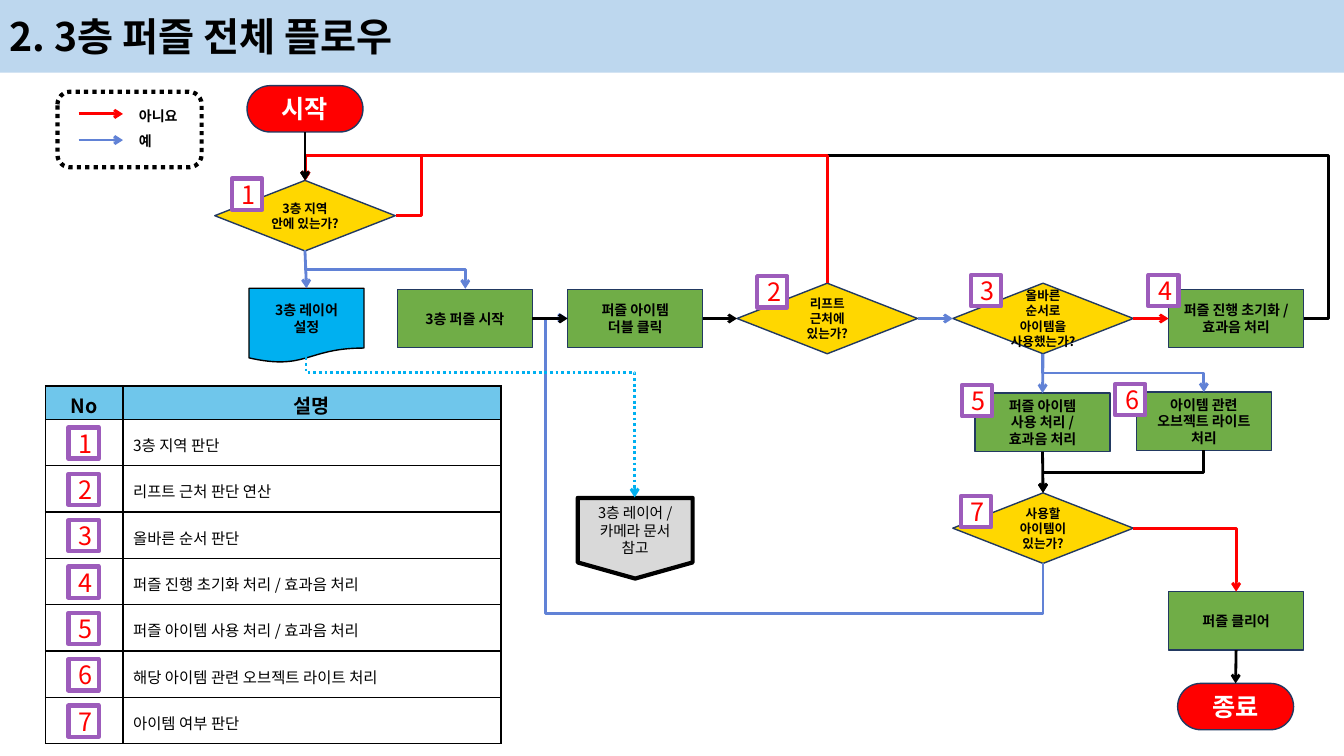
"""Build the flow chart slide for the third-floor puzzle."""
from pptx import Presentation
from pptx import util as u
from pptx.dml.color import RGBColor
from pptx.enum import dml, shapes, text
from pptx.oxml import parse_xml
from pptx.oxml.ns import nsdecls, qn

FONT = "Noto Sans CJK KR"
BLACK, WHITE, RED, BLUE, CYAN = "000000", "FFFFFF", "FF0000", "6182D6", "00B0F0"
GREEN, YELLOW, NAVY, PURPLE = "70AD47", "FFD700", "223961", "9D5CBB"
KIND = shapes.MSO_SHAPE
TOP, LEFT, BOTTOM, RIGHT = range(4)
color_of = RGBColor.from_string


def write_text(frame, content, size, color=BLACK, bold=True, align=text.PP_ALIGN.CENTER):
    frame.text = content
    for paragraph in frame.paragraphs:
        paragraph.alignment = align
        paragraph.font.size = u.Pt(size)
        paragraph.font.bold = bold
        paragraph.font.name = FONT
        paragraph.font.color.rgb = color_of(color)
        properties = paragraph._p.pPr.find(qn("a:defRPr"))
        properties.append(parse_xml(f'<a:ea {nsdecls("a")} typeface="{FONT}"/>'))


def add_box(parent, kind, box, fill=None, line=None, width=1):
    shape = parent.add_shape(kind, *map(u.Inches, box))
    shape.shadow.inherit = False
    if fill:
        shape.fill.solid()
        shape.fill.fore_color.rgb = color_of(fill)
    else:
        shape.fill.background()
    if line:
        shape.line.color.rgb = color_of(line)
        shape.line.width = u.Pt(width)
    else:
        shape.line.fill.background()
    shape.text_frame.word_wrap = True
    shape.text_frame.vertical_anchor = text.MSO_ANCHOR.MIDDLE
    return shape


presentation = Presentation()
presentation.slide_width = u.Inches(13.33)
presentation.slide_height = u.Inches(7.5)
slide = presentation.slides.add_slide(presentation.slide_layouts[6])

title = add_box(slide.shapes, KIND.RECTANGLE, (0, 0, 13.33, 0.72), "BDD7EE")
write_text(title.text_frame, "2. 3층 퍼즐 전체 플로우", 28, align=text.PP_ALIGN.LEFT)

arrows = []
legend = slide.shapes.add_group_shape().shapes
frame = add_box(legend, KIND.ROUNDED_RECTANGLE, (0.57, 0.91, 1.43, 0.75), None, BLACK, 3)
frame.line.dash_style = dml.MSO_LINE.ROUND_DOT
for label, color, line_top, label_top, label_width in [
    ("아니요", RED, 1.13, 1.02, 0.65),
    ("예", BLUE, 1.39, 1.27, 0.37),
]:
    arrow = legend.add_connector(
        shapes.MSO_CONNECTOR.STRAIGHT,
        u.Inches(0.78), u.Inches(line_top), u.Inches(1.22), u.Inches(line_top))
    arrows.append((arrow, color))
    label_box = legend.add_textbox(
        u.Inches(1.28), u.Inches(label_top), u.Inches(label_width), u.Inches(0.43))
    label_box.text_frame.word_wrap = False
    write_text(label_box.text_frame, label, 10, align=text.PP_ALIGN.LEFT)

steps = {}
for name, left, top, label in [
    ("start", 2.45, 0.85, "시작"),
    ("end", 11.68, 6.78, "종료"),
]:
    step = add_box(slide.shapes, KIND.ROUNDED_RECTANGLE, (left, top, 1.15, 0.46), RED, NAVY)
    step.adjustments[0] = 0.5
    write_text(step.text_frame, label, 18, WHITE)
    steps[name] = step

for name, left, top, label in [
    ("in_area", 2.13, 1.79, "3층 지역 안에 있는가?"),
    ("near_lift", 7.31, 2.81, "리프트 근처에 있는가?"),
    ("right_order", 9.45, 2.81, "올바른 순서로 아이템을 사용했는가?"),
    ("items_left", 9.45, 4.89, "사용할 아이템이 있는가?"),
]:
    steps[name] = add_box(slide.shapes, KIND.DIAMOND, (left, top, 1.79, 0.7), YELLOW, NAVY)
    write_text(steps[name].text_frame, label, 9)

for name, left, top, label in [
    ("begin_puzzle", 3.94, 2.87, "3층 퍼즐 시작"),
    ("click_item", 5.63, 2.87, "퍼즐 아이템\n더블 클릭"),
    ("reset", 11.59, 2.87, "퍼즐 진행 초기화 / 효과음 처리"),
    ("use_item", 9.67, 3.9, "퍼즐 아이템\n사용 처리 /\n효과음 처리"),
    ("light", 11.27, 3.89, "아이템 관련 오브젝트 라이트 처리"),
    ("clear", 11.59, 5.87, "퍼즐 클리어"),
]:
    steps[name] = add_box(slide.shapes, KIND.RECTANGLE, (left, top, 1.34, 0.58), GREEN, NAVY)
    write_text(steps[name].text_frame, label, 10)

steps["layer"] = add_box(
    slide.shapes, KIND.FLOWCHART_DOCUMENT, (2.47, 2.86, 1.14, 0.74), CYAN, BLACK)
write_text(steps["layer"].text_frame, "3층 레이어\n설정", 10)
steps["reference"] = add_box(
    slide.shapes, KIND.FLOWCHART_OFFPAGE_CONNECTOR, (5.73, 4.94, 1.14, 0.8), "D9D9D9", BLACK, 3)
write_text(steps["reference"].text_frame, "3층 레이어 / 카메라 문서\n참고", 10.5, bold=False)

# Bends hold the unrotated box, rotation, flips, preset number and adjustments.
for source, source_side, target, target_side, color, bend in [
    ("items_left", BOTTOM, "click_item", LEFT, BLUE,
     ((6.77, 2.01, 2.43, 4.72), 90, "h", 4, (-0.207, 1.046))),
    ("in_area", RIGHT, "in_area", TOP, RED,
     ((3.03, 1.79, 0.9, 0.35), 0, "hv", 4, (-0.279, 1.716))),
    ("in_area", BOTTOM, "begin_puzzle", TOP, BLUE,
     ((3.63, 1.88, 0.38, 1.59), 270, "h", 3, (0.5,))),
    ("in_area", BOTTOM, "layer", TOP, BLUE, None),
    ("layer", BOTTOM, "reference", TOP, CYAN,
     ((3.97, 2.61, 1.39, 3.26), 90, "v", 3, (0.109,))),
    ("click_item", RIGHT, "near_lift", LEFT, BLACK, None),
    ("begin_puzzle", RIGHT, "click_item", LEFT, BLACK, None),
    ("near_lift", RIGHT, "right_order", LEFT, BLUE, None),
    ("reset", RIGHT, "in_area", TOP, BLACK,
     ((3.03, 1.79, 9.9, 1.37), 0, "hv", 4, (-0.025, 1.183))),
    ("near_lift", TOP, "in_area", TOP, RED,
     ((5.11, -0.29, 1.02, 5.18), 270, "v", 3, (1.245,))),
    ("start", BOTTOM, "in_area", TOP, BLACK, None),
    ("right_order", BOTTOM, "use_item", TOP, BLUE, None),
    ("use_item", BOTTOM, "items_left", TOP, BLACK, None),
    ("items_left", RIGHT, "clear", TOP, RED,
     ((11.24, 5.24, 1.02, 0.63), 0, "", 2, ())),
    ("clear", BOTTOM, "end", TOP, BLACK, None),
    ("right_order", BOTTOM, "light", TOP, BLUE,
     ((10.95, 2.9, 0.38, 1.6), 270, "h", 3, (0.5,))),
    ("light", BOTTOM, "items_left", TOP, BLACK,
     ((10.93, 3.88, 0.42, 1.59), 90, "", 3, (0.523,))),
    ("right_order", RIGHT, "reset", LEFT, RED, None),
]:
    style = shapes.MSO_CONNECTOR.ELBOW if bend else shapes.MSO_CONNECTOR.STRAIGHT
    arrow = slide.shapes.add_connector(style, 0, 0, 0, 0)
    arrow.begin_connect(steps[source], source_side)
    arrow.end_connect(steps[target], target_side)
    arrows.append((arrow, color))
    if bend:
        box, rotation, flips, number, adjustments = bend
        arrow.left, arrow.top, arrow.width, arrow.height = map(u.Inches, box)
        transform = arrow.element.spPr.find(qn("a:xfrm"))
        transform.set("rot", str(rotation * 60000))
        transform.set("flipH", str(int("h" in flips)))
        transform.set("flipV", str(int("v" in flips)))
        geometry = arrow.element.spPr.find(qn("a:prstGeom"))
        geometry.set("prst", f"bentConnector{number}")
        for index, value in enumerate(adjustments, 1):
            geometry.find(qn("a:avLst")).append(parse_xml(
                f'<a:gd {nsdecls("a")} name="adj{index}" fmla="val {round(value * 100000)}"/>'))

for arrow, color in arrows:
    arrow.line.color.rgb = color_of(color)
    arrow.line.width = u.Pt(2)
    if color == CYAN:
        arrow.line.dash_style = dml.MSO_LINE.ROUND_DOT
    properties = arrow.element.spPr
    properties.find(qn("a:ln")).append(parse_xml(f'<a:tailEnd {nsdecls("a")} type="arrow"/>'))
    properties.append(parse_xml(f'<a:effectLst {nsdecls("a")}/>'))

descriptions = [
    "설명", "3층 지역 판단", "리프트 근처 판단 연산", "올바른 순서 판단",
    "퍼즐 진행 초기화 처리 / 효과음 처리", "퍼즐 아이템 사용 처리 / 효과음 처리",
    "해당 아이템 관련 오브젝트 라이트 처리", "아이템 여부 판단",
]
table = slide.shapes.add_table(
    len(descriptions), 2, u.Inches(0.45), u.Inches(3.83), u.Inches(4.52), u.Inches(3.55)).table
table.columns[0].width, table.columns[1].width = u.Inches(0.77), u.Inches(3.75)
for row, description in enumerate(descriptions):
    table.rows[row].height = u.Inches(0.46 if row else 0.33)
    for column, content in enumerate(("" if row else "No", description)):
        cell = table.cell(row, column)
        cell.vertical_anchor = text.MSO_ANCHOR.MIDDLE
        cell.margin_top, cell.margin_bottom = u.Inches(0.04), 0
        align = text.PP_ALIGN.LEFT if row else text.PP_ALIGN.CENTER
        write_text(cell.text_frame, content, 11 if row else 14, bold=not row, align=align)
        for side in ("lnL", "lnR", "lnT", "lnB"):
            cell._tc.get_or_add_tcPr().append(parse_xml(
                f'<a:{side} {nsdecls("a")} w="12700"><a:solidFill>'
                f'<a:srgbClr val="{BLACK}"/></a:solidFill></a:{side}>'))
        cell.fill.solid()
        cell.fill.fore_color.rgb = color_of(WHITE if row else "6FC6EB")

flow_badges = [(2.3, 1.77), (7.51, 2.74), (9.63, 2.73), (11.39, 2.73),
               (9.54, 3.82), (11.06, 3.81), (9.53, 4.92)]
for index, position in enumerate(flow_badges):
    for left, top in (position, (0.68, 4.24 + 0.46 * index)):
        badge = add_box(slide.shapes, KIND.RECTANGLE, (left, top, 0.3, 0.31), WHITE, PURPLE, 3)
        write_text(badge.text_frame, str(index + 1), 18, RED, False)

presentation.save("out.pptx")
